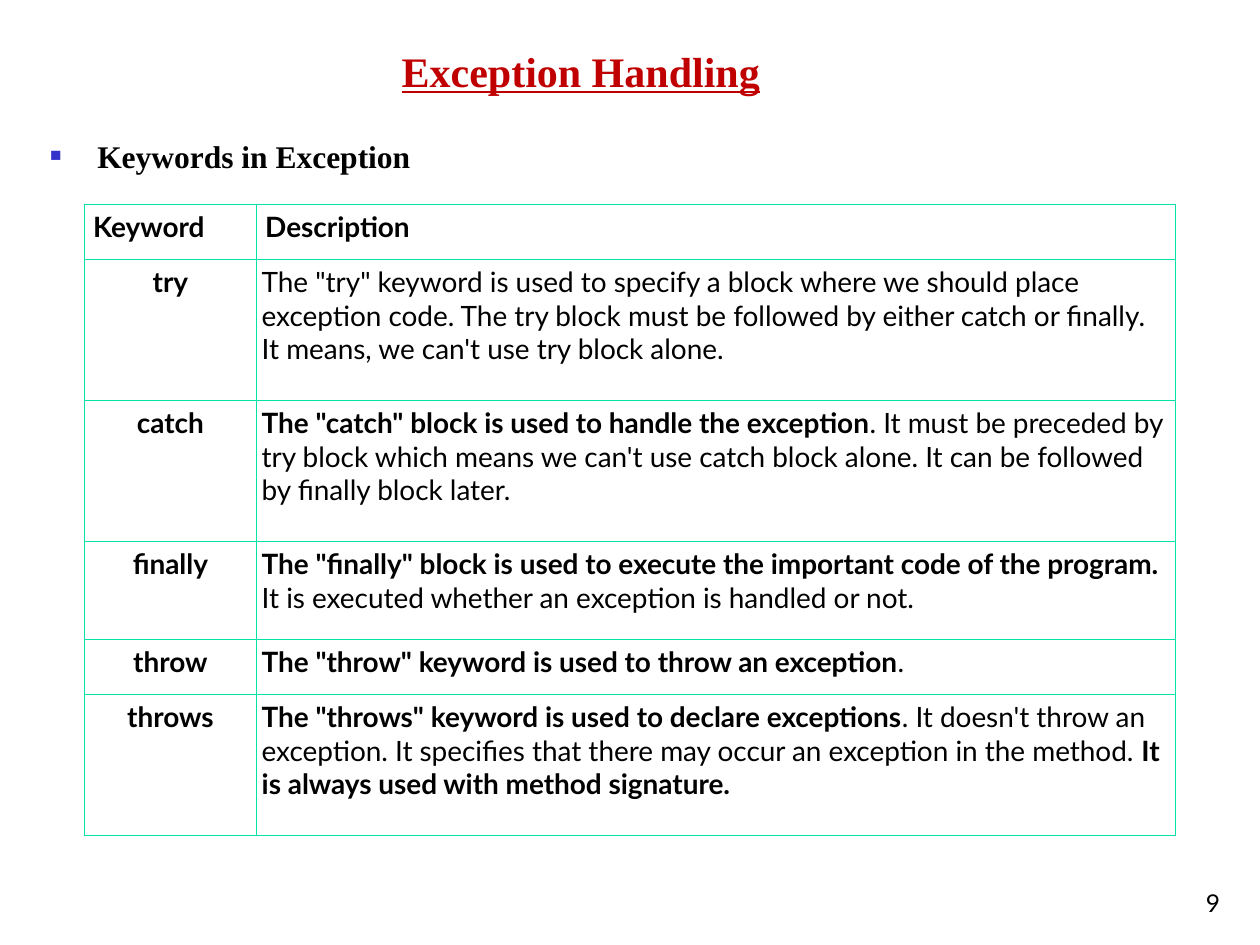
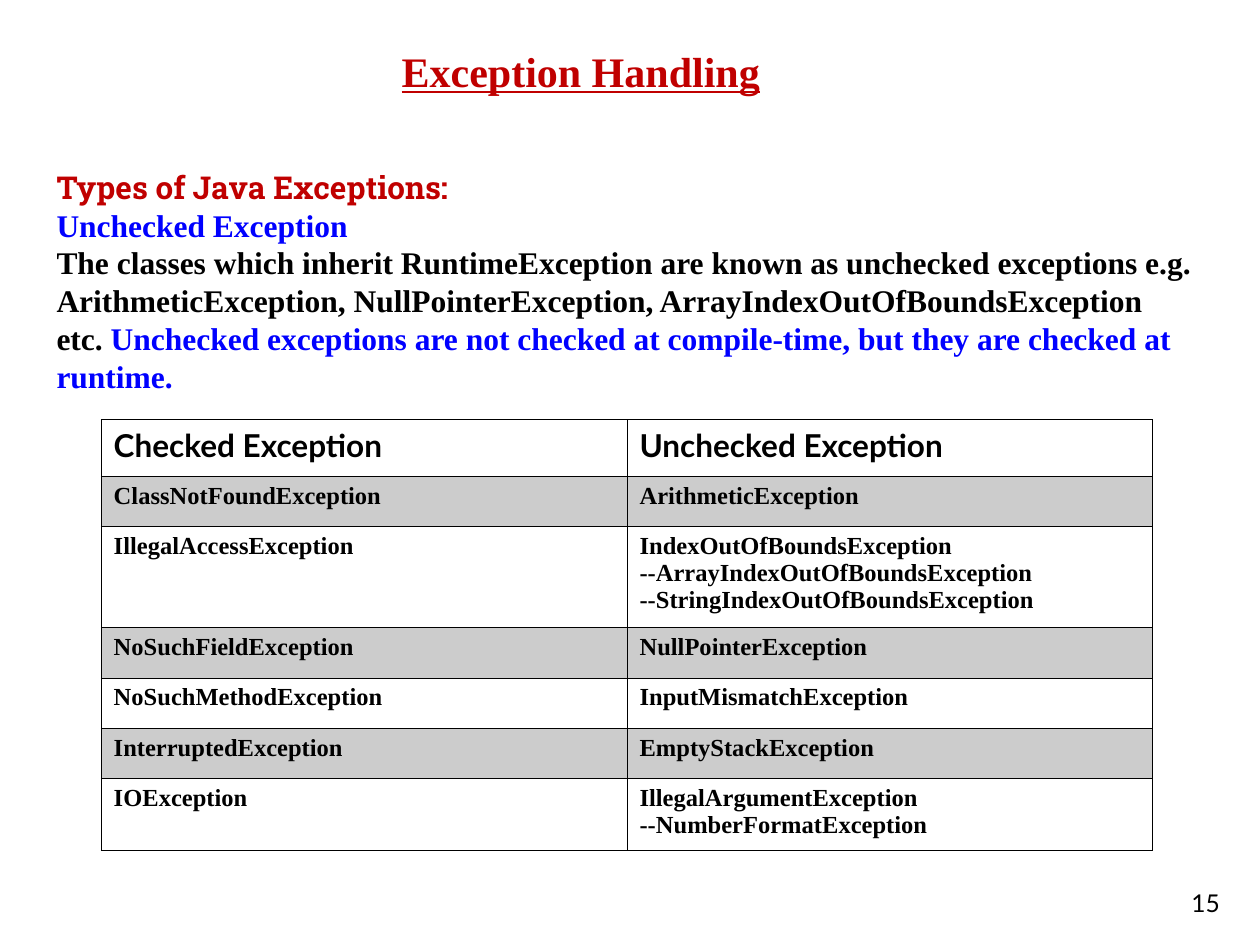
from lxml import etree
from pptx import Presentation
from pptx.dml.color import RGBColor
from pptx.enum.text import MSO_ANCHOR, PP_ALIGN
from pptx.oxml.ns import qn
from pptx.util import Pt

LEFT, CENTER, RIGHT = PP_ALIGN.LEFT, PP_ALIGN.CENTER, PP_ALIGN.RIGHT
TOP, BOTTOM = MSO_ANCHOR.TOP, MSO_ANCHOR.BOTTOM

SERIF, SANS, SLAB = "Times New Roman", "Lato", "Roboto Slab"
BLACK, WHITE, RED, BLUE = "000000", "FFFFFF", "C00000", "0000FF"
BULLET, TEAL, GREY = "3333CC", "00E4A8", "CCCCCC"
BORDER_WIDTH = 0.45

KEYWORDS = [
    ("try", [('The "try" keyword is used to specify a block where we should place '
              "exception code. The try block must be followed by either catch or "
              "finally. It means, we can't use try block alone.", False)]),
    ("catch", [('The "catch" block is used to handle the exception', True),
               (". It must be preceded by try block which means we can't use catch "
                "block alone. It can be followed by finally block later.", False)]),
    ("finally", [('The "finally" block is used to execute the important code of '
                  "the program. ", True),
                 ("It is executed whether an exception is handled or not.", False)]),
    ("throw", [('The "throw" keyword is used to throw an exception', True),
               (".", False)]),
    ("throws", [('The "throws" keyword is used to declare exceptions', True),
                (". It doesn't throw an exception. It specifies that there may occur "
                 "an exception in the method. ", False),
                ("It is always used with method signature.", True)]),
]
KEYWORD_ROWS = [31.4, 80.6, 80.6, 56, 31.4, 80.6]

EXCEPTIONS = [
    ("ClassNotFoundException", ["ArithmeticException"]),
    ("IllegalAccessException", ["IndexOutOfBoundsException",
                                "--ArrayIndexOutOfBoundsException",
                                "--StringIndexOutOfBoundsException"]),
    ("NoSuchFieldException", ["NullPointerException"]),
    ("NoSuchMethodException", ["InputMismatchException"]),
    ("InterruptedException", ["EmptyStackException"]),
    ("IOException", ["IllegalArgumentException", "--NumberFormatException"]),
]
EXCEPTION_ROWS = [32.4, 28.8, 57.6, 28.8, 28.8, 28.8, 41]


def rgb(color):
    """Turn a hex string into a colour."""
    return RGBColor.from_string(color)


def style_run(r, size, font=SERIF, color=BLACK, bold=True, underline=False):
    """Format one run."""
    r.font.size = Pt(size)
    r.font.name = font
    r.font.color.rgb = rgb(color)
    r.font.bold = bold
    r.font.underline = underline


def write(p, text, size, align=LEFT, spacing=None, **style):
    """Fill a paragraph with text in one style."""
    p.text = text
    p.alignment = align
    if spacing:
        p.line_spacing = Pt(spacing)
    for r in p.runs:
        style_run(r, size, **style)


def append_run(p, text, size, **style):
    """Add a run in its own style to a paragraph."""
    r = p.add_run()
    r.text = text
    style_run(r, size, **style)


def add_text_box(s, left, top, width, height, anchor=TOP):
    """Add a wrapping text box and return its text frame."""
    tf = s.shapes.add_textbox(Pt(left), Pt(top), Pt(width), Pt(height)).text_frame
    tf.word_wrap = True
    tf.vertical_anchor = anchor
    return tf


def add_bullet(p, indent):
    """Give a paragraph a small square bullet with a hanging indent."""
    pPr = p._p.get_or_add_pPr()
    pPr.set("marL", str(Pt(indent)))
    pPr.set("indent", str(-Pt(indent)))
    color = etree.SubElement(pPr, qn("a:buClr"))
    etree.SubElement(color, qn("a:srgbClr"), val=BULLET)
    etree.SubElement(pPr, qn("a:buSzPct"), val="60000")
    etree.SubElement(pPr, qn("a:buFont"), typeface="Arial")
    etree.SubElement(pPr, qn("a:buChar"), char="■")


def format_cell(cell, border, fill, side_margin):
    """Set the borders, fill and margins of a table cell."""
    cell.margin_left = cell.margin_right = Pt(side_margin)
    cell.margin_top = cell.margin_bottom = Pt(3.6)
    tcPr = cell._tc.get_or_add_tcPr()
    for side in ("lnL", "lnR", "lnT", "lnB"):
        ln = etree.SubElement(tcPr, qn(f"a:{side}"), w=str(Pt(BORDER_WIDTH)))
        solid = etree.SubElement(ln, qn("a:solidFill"))
        etree.SubElement(solid, qn("a:srgbClr"), val=border)
    cell.fill.solid()
    cell.fill.fore_color.rgb = rgb(fill)


def add_grid(s, left, top, widths, heights):
    """Add a plain table with the given column widths and row heights."""
    frame = s.shapes.add_table(len(heights), len(widths), Pt(left), Pt(top),
                               Pt(sum(widths)), Pt(sum(heights)))
    table = frame.table
    table.first_row = table.horz_banding = False
    for column, width in zip(table.columns, widths):
        column.width = Pt(width)
    for row, height in zip(table.rows, heights):
        row.height = Pt(height)
    return table


def add_header(table, labels, size, border, side_margin):
    """Fill the first row of a table."""
    for cell, label in zip(table.rows[0].cells, labels):
        format_cell(cell, border, WHITE, side_margin)
        write(cell.text_frame.paragraphs[0], label, size, font=SANS)


def add_slide(prs, number):
    """Add a slide with the shared title and its page number."""
    s = prs.slides.add_slide(prs.slide_layouts[6])
    title = add_text_box(s, 25.2, 15.1, 613.4, 43.2, BOTTOM)
    write(title.paragraphs[0], "Exception Handling", 24, CENTER,
          color=RED, underline=True)
    footer = add_text_box(s, 554.4, 491.8, 149.8, 36, BOTTOM)
    write(footer.paragraphs[0], str(number), 14, RIGHT, font=SANS, bold=False)
    return s


def add_keyword_table(s):
    """Add the table of exception keywords."""
    table = add_grid(s, 48.2, 116.6, [98.4, 525], KEYWORD_ROWS)
    add_header(table, ("Keyword", "Description"), 16, TEAL, 5)
    for i, (keyword, description) in enumerate(KEYWORDS, start=1):
        name_cell, text_cell = table.rows[i].cells
        for cell in (name_cell, text_cell):
            format_cell(cell, TEAL, WHITE, 3)
        write(name_cell.text_frame.paragraphs[0], keyword, 16, CENTER, font=SANS)
        for text, bold in description:
            append_run(text_cell.text_frame.paragraphs[0], text, 16,
                       font=SANS, bold=bold)


def add_exception_table(s):
    """Add the table of checked and unchecked exceptions."""
    table = add_grid(s, 57.8, 239.8, [300.5, 300.5], EXCEPTION_ROWS)
    add_header(table, ("Checked Exception", "Unchecked Exception"), 18, BLACK, 7.2)
    for i, (checked, unchecked) in enumerate(EXCEPTIONS, start=1):
        fill = GREY if i % 2 else WHITE
        for cell, names in zip(table.rows[i].cells, ([checked], unchecked)):
            format_cell(cell, BLACK, fill, 7.2)
            tf = cell.text_frame
            tf.text = "\n".join(names)
            for p, name in zip(tf.paragraphs, names):
                write(p, name, 14, spacing=15.4)


def add_unchecked_intro(s):
    """Add the explanation of unchecked exceptions."""
    tf = add_text_box(s, 25.2, 88.6, 663.1, 150)
    write(tf.paragraphs[0], "Types of Java Exceptions:", 18, spacing=25.4,
          font=SLAB, color=RED)
    write(tf.add_paragraph(), "Unchecked Exception", 18, spacing=21.6, color=BLUE)
    p = tf.add_paragraph()
    write(p, "The classes which inherit RuntimeException are known as unchecked "
             "exceptions e.g. ArithmeticException, NullPointerException, "
             "ArrayIndexOutOfBoundsException etc. ", 18, spacing=21.6)
    append_run(p, "Unchecked exceptions are not checked at compile-time, "
                  "but they are checked at runtime.", 18, color=BLUE)


def main():
    """Build both slides and save the presentation."""
    prs = Presentation()
    prs.slide_width, prs.slide_height = Pt(720), Pt(540)

    s = add_slide(prs, 9)
    p = add_text_box(s, 21.5, 74.5, 650, 30).paragraphs[0]
    write(p, "Keywords in Exception", 18)
    add_bullet(p, 27)
    add_keyword_table(s)

    s = add_slide(prs, 15)
    add_unchecked_intro(s)
    add_exception_table(s)

    prs.save("out.pptx")


if __name__ == "__main__":
    main()
